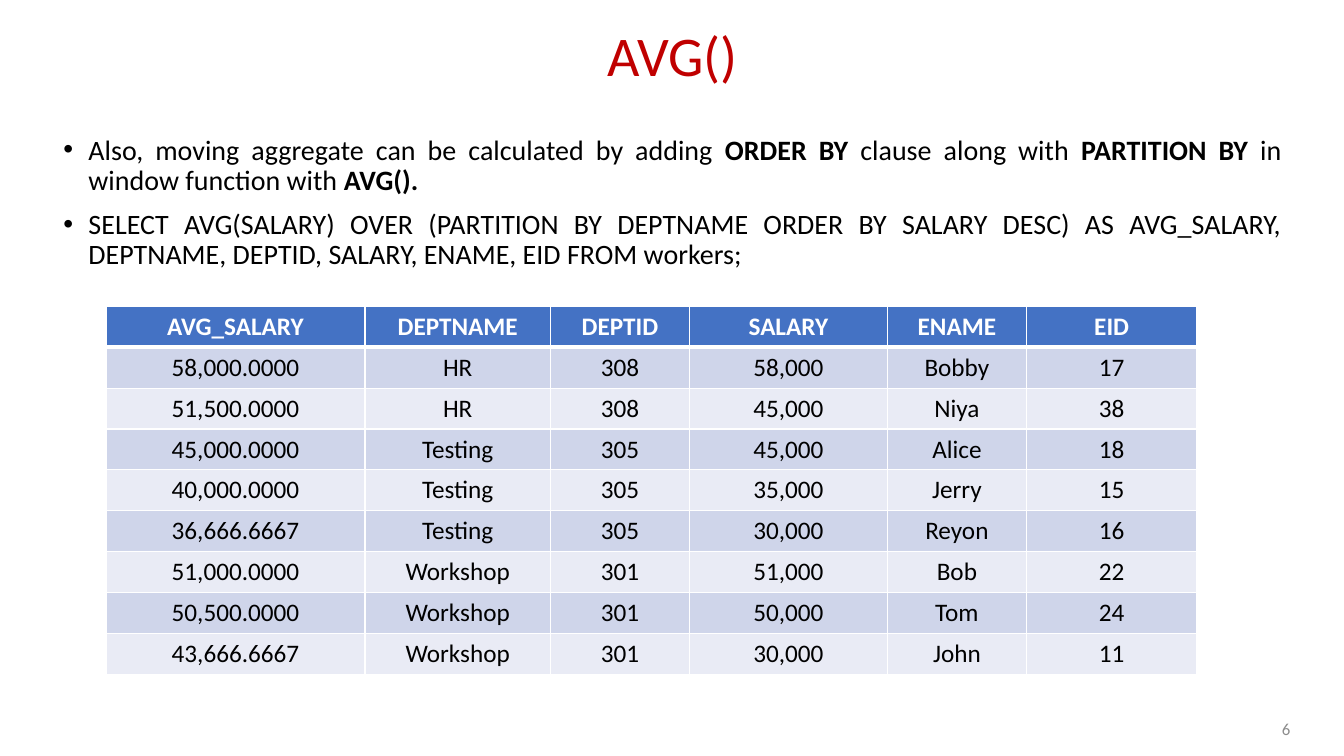
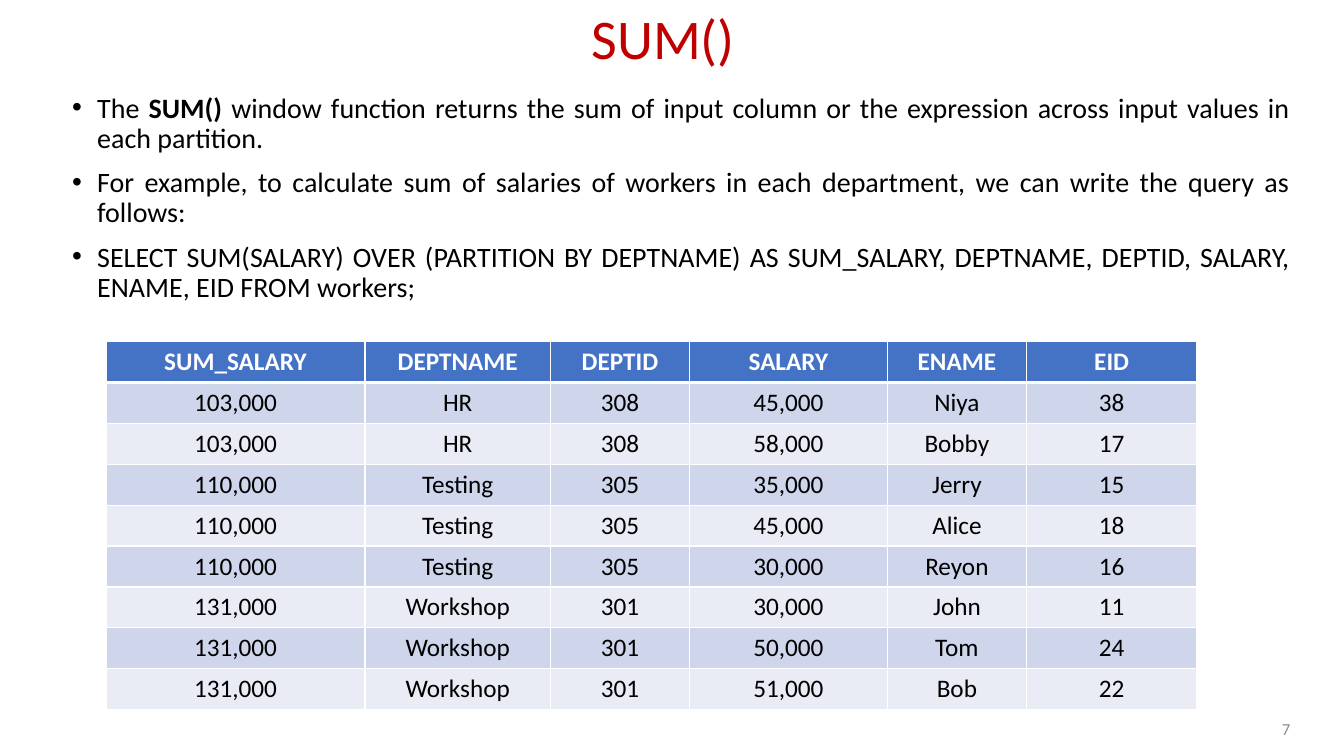
from dataclasses import dataclass

from lxml.etree import SubElement
from pptx import Presentation
from pptx.dml.color import RGBColor
from pptx.enum.text import MSO_ANCHOR, PP_ALIGN
from pptx.oxml.ns import qn
from pptx.util import Cm, Pt


@dataclass(frozen=True)
class Theme:
    font: str = "Calibri"
    title_color: str = "C00000"
    text_color: str = "000000"
    number_color: str = "8C8C8C"
    header_text: str = "FFFFFF"
    header_fill: str = "4472C4"
    band_fills: tuple = ("CFD5EA", "E9EBF5")
    border_color: str = "FFFFFF"
    title_size: int = 40
    body_size: int = 20
    table_size: int = 18
    number_size: int = 12


THEME = Theme()
COLUMN_WIDTHS = (6.53, 4.67, 3.51, 4.98, 3.51, 4.29)
ROW_HEIGHT = 1.03
TABLE_LEFT = 2.67
BULLET_INDENT = Cm(0.63)
SHARED_HEADERS = ("DEPTNAME", "DEPTID", "SALARY", "ENAME", "EID")

AVG_BULLETS = (
    "Also, moving aggregate can be calculated by adding **ORDER BY **clause along with "
    "**PARTITION BY **in window function with **AVG().**",
    "SELECT AVG(SALARY) OVER (PARTITION BY DEPTNAME ORDER BY SALARY DESC) AS AVG_SALARY, "
    "DEPTNAME, DEPTID, SALARY, ENAME, EID FROM workers;",
)
AVG_ROWS = (
    ("AVG_SALARY", *SHARED_HEADERS),
    ("58,000.0000", "HR", "308", "58,000", "Bobby", "17"),
    ("51,500.0000", "HR", "308", "45,000", "Niya", "38"),
    ("45,000.0000", "Testing", "305", "45,000", "Alice", "18"),
    ("40,000.0000", "Testing", "305", "35,000", "Jerry", "15"),
    ("36,666.6667", "Testing", "305", "30,000", "Reyon", "16"),
    ("51,000.0000", "Workshop", "301", "51,000", "Bob", "22"),
    ("50,500.0000", "Workshop", "301", "50,000", "Tom", "24"),
    ("43,666.6667", "Workshop", "301", "30,000", "John", "11"),
)
SUM_BULLETS = (
    "The **SUM() **window function returns the sum of input column or the expression "
    "across input values in each partition.",
    "For example, to calculate sum of salaries of workers in each department, "
    "we can write the query as follows:",
    "SELECT SUM(SALARY) OVER (PARTITION BY DEPTNAME) AS SUM_SALARY, "
    "DEPTNAME, DEPTID, SALARY, ENAME, EID FROM workers;",
)
SUM_ROWS = (
    ("SUM_SALARY", *SHARED_HEADERS),
    ("103,000", "HR", "308", "45,000", "Niya", "38"),
    ("103,000", "HR", "308", "58,000", "Bobby", "17"),
    ("110,000", "Testing", "305", "35,000", "Jerry", "15"),
    ("110,000", "Testing", "305", "45,000", "Alice", "18"),
    ("110,000", "Testing", "305", "30,000", "Reyon", "16"),
    ("131,000", "Workshop", "301", "30,000", "John", "11"),
    ("131,000", "Workshop", "301", "50,000", "Tom", "24"),
    ("131,000", "Workshop", "301", "51,000", "Bob", "22"),
)


def style_paragraph(para, size, color, align, bold=None):
    para.alignment = align
    para.font.name = THEME.font
    para.font.size = Pt(size)
    para.font.color.rgb = RGBColor.from_string(color)
    para.font.bold = bold


def add_text_frame(page, left, top, width, height, anchor):
    box = page.shapes.add_textbox(Cm(left), Cm(top), Cm(width), Cm(height))
    frame = box.text_frame
    frame.word_wrap = True
    frame.vertical_anchor = anchor
    return frame


def add_title(page, text, left, top):
    frame = add_text_frame(page, left, top, 29.21, 3.68, MSO_ANCHOR.MIDDLE)
    para = frame.paragraphs[0]
    para.text = text
    para.line_spacing = 0.9
    style_paragraph(para, THEME.title_size, THEME.title_color, PP_ALIGN.CENTER)


def add_page_number(page, number):
    frame = add_text_frame(page, 25.15, 17.86, 7.62, 1.02, MSO_ANCHOR.MIDDLE)
    para = frame.paragraphs[0]
    para.text = str(number)
    style_paragraph(para, THEME.number_size, THEME.number_color, PP_ALIGN.RIGHT)


def add_bullets(page, items, left, top):
    frame = add_text_frame(page, left, top, 31.19, 12.09, MSO_ANCHOR.TOP)
    for index, item in enumerate(items):
        para = frame.add_paragraph() if index else frame.paragraphs[0]
        para.line_spacing = 0.9
        para.space_before = Pt(10 if index else 0)
        properties = para._p.get_or_add_pPr()
        properties.set("marL", str(BULLET_INDENT))
        properties.set("indent", str(-BULLET_INDENT))
        SubElement(properties, qn("a:buFont"), typeface="Arial")
        SubElement(properties, qn("a:buChar"), char="•")
        style_paragraph(para, THEME.body_size, THEME.text_color, PP_ALIGN.JUSTIFY)
        for part, text in enumerate(item.split("**")):
            if text:
                span = para.add_run()
                span.text = text
                span.font.bold = part % 2 == 1


def set_borders(cell, bottom_width):
    properties = cell._tc.get_or_add_tcPr()
    for side, width in (("L", 1), ("R", 1), ("T", 1), ("B", bottom_width)):
        line = SubElement(properties, qn(f"a:ln{side}"), w=str(Pt(width)))
        fill = SubElement(line, qn("a:solidFill"))
        SubElement(fill, qn("a:srgbClr"), val=THEME.border_color)


def fill_cell(cell, text, row_index):
    header = row_index == 0
    set_borders(cell, 3 if header else 1)
    fill = THEME.header_fill if header else THEME.band_fills[(row_index - 1) % 2]
    cell.fill.solid()
    cell.fill.fore_color.rgb = RGBColor.from_string(fill)
    para = cell.text_frame.paragraphs[0]
    para.text = text
    color = THEME.header_text if header else THEME.text_color
    style_paragraph(para, THEME.table_size, color, PP_ALIGN.CENTER, header)


def add_result_table(page, rows, top):
    frame = page.shapes.add_table(
        len(rows), len(COLUMN_WIDTHS), Cm(TABLE_LEFT), Cm(top),
        Cm(sum(COLUMN_WIDTHS)), Cm(ROW_HEIGHT * len(rows)),
    )
    table = frame.table
    for column, width in zip(table.columns, COLUMN_WIDTHS):
        column.width = Cm(width)
    for row_index, values in enumerate(rows):
        table.rows[row_index].height = Cm(ROW_HEIGHT)
        for column_index, text in enumerate(values):
            fill_cell(table.cell(row_index, column_index), text, row_index)


def add_function_page(deck, number, title, title_at, bullets, bullets_at, rows, table_top):
    page = deck.slides.add_slide(deck.slide_layouts[6])
    add_title(page, title, *title_at)
    add_page_number(page, number)
    add_bullets(page, bullets, *bullets_at)
    add_result_table(page, rows, table_top)


def main():
    deck = Presentation()
    deck.slide_width = Cm(33.87)
    deck.slide_height = Cm(19.05)
    add_function_page(deck, 6, "AVG()", (2.34, -0.38), AVG_BULLETS, (1.35, 3.3), AVG_ROWS, 7.72)
    add_function_page(deck, 7, "SUM()", (2.11, -0.79), SUM_BULLETS, (1.57, 2.24), SUM_ROWS, 8.61)
    deck.save("out.pptx")


if __name__ == "__main__":
    main()
